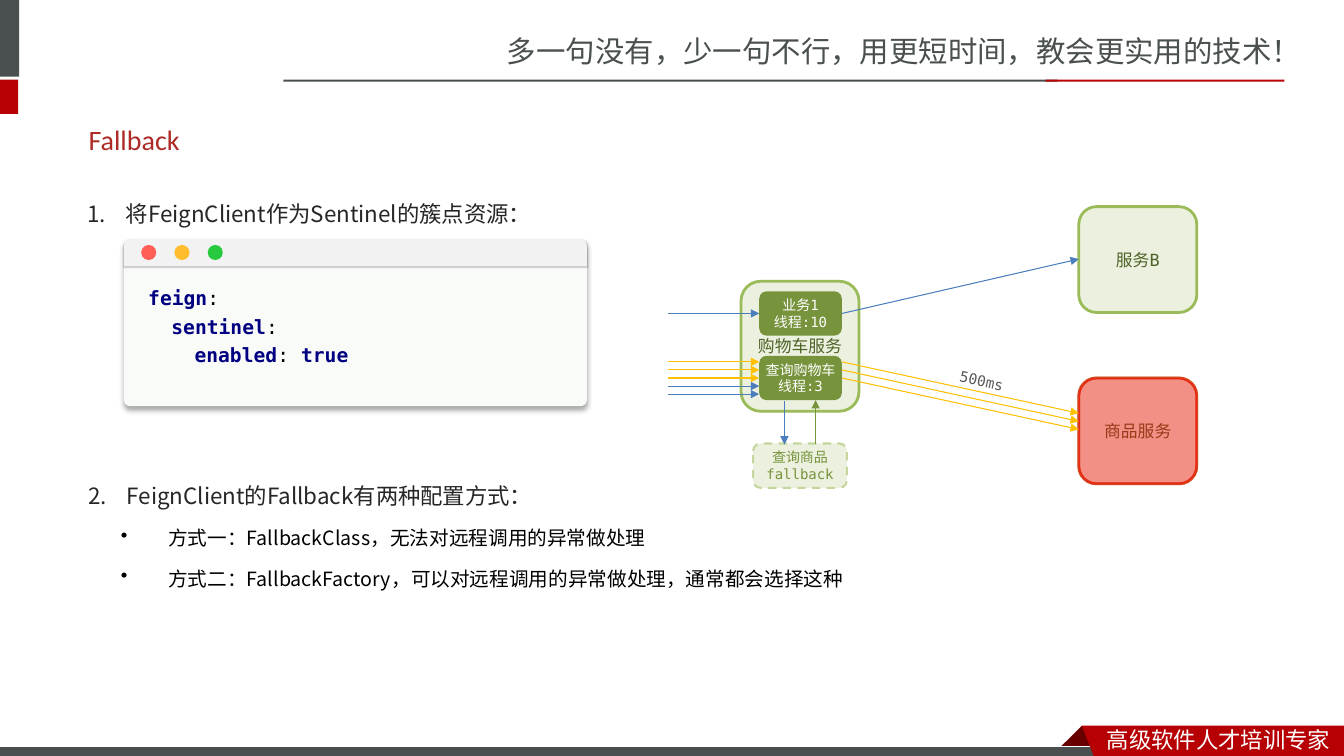
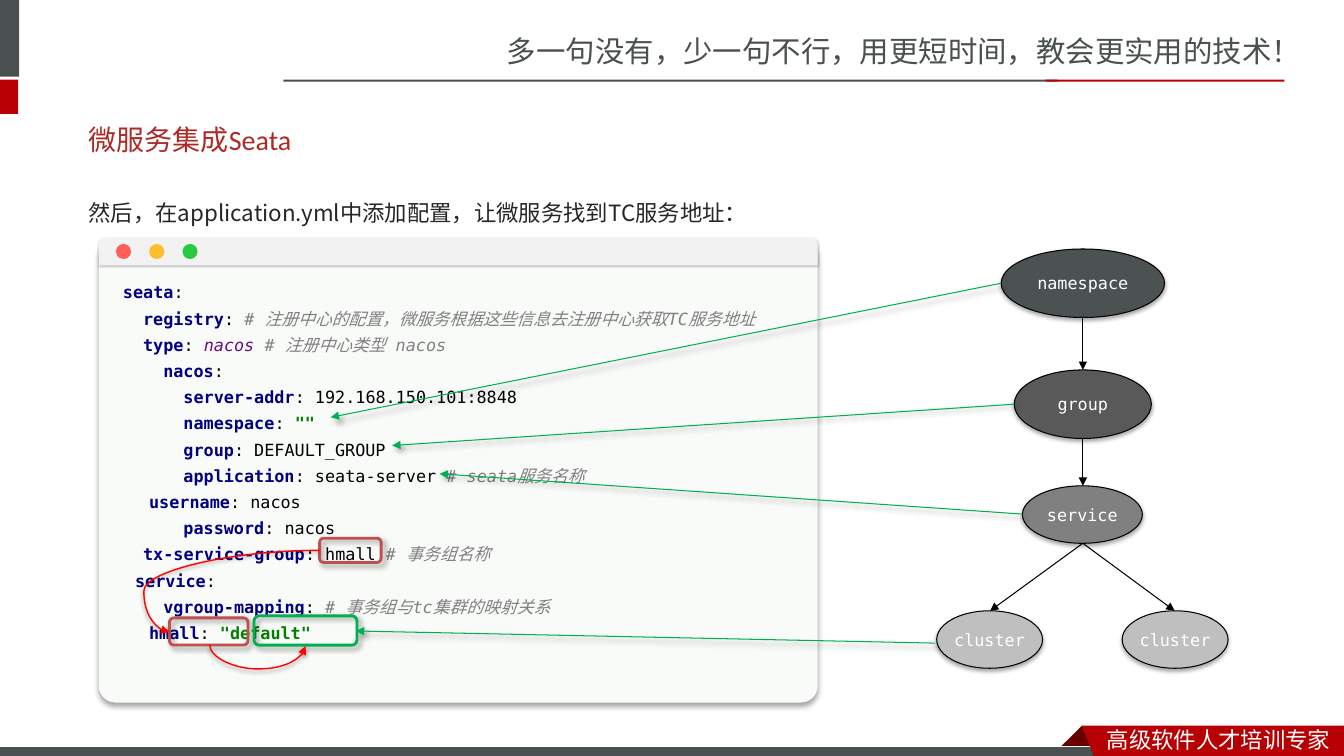
"""Build two training slides about Feign fallbacks and Seata configuration."""
import typing
from dataclasses import dataclass

import lxml.etree
import pptx
import pptx.dml.color
import pptx.enum.dml
import pptx.enum.shapes
import pptx.enum.text
import pptx.oxml.ns
import pptx.util

Inches = pptx.util.Inches
Pt = pptx.util.Pt
RGBColor = pptx.dml.color.RGBColor
Preset = pptx.enum.shapes.MSO_SHAPE
Connector = pptx.enum.shapes.MSO_CONNECTOR
Align = pptx.enum.text.PP_ALIGN
Anchor = pptx.enum.text.MSO_ANCHOR
qn = pptx.oxml.ns.qn

WHITE = RGBColor(0xFF, 0xFF, 0xFF)
BLACK = RGBColor(0x00, 0x00, 0x00)
SLATE = RGBColor(0x49, 0x50, 0x4F)
BRAND_RED = RGBColor(0xB6, 0x00, 0x04)
DARK_RED = RGBColor(0x68, 0x00, 0x00)
TITLE_RED = RGBColor(0xAD, 0x2A, 0x26)
BODY_INK = RGBColor(0x26, 0x26, 0x26)
PALE_GREEN = RGBColor(0xEB, 0xF1, 0xDE)
EDGE_GREEN = RGBColor(0x9B, 0xBB, 0x59)
DASH_GREEN = RGBColor(0xC3, 0xD6, 0x9B)
LEAF_GREEN = RGBColor(0x77, 0x93, 0x3C)
TEXT_GREEN = RGBColor(0x4F, 0x62, 0x28)
LINK_GREEN = RGBColor(0x00, 0xB0, 0x50)
RED = RGBColor(0xFF, 0x00, 0x00)
BRICK = RGBColor(0xC0, 0x50, 0x4D)
BLUE = RGBColor(0x4B, 0x7E, 0xBC)
AMBER = RGBColor(0xFF, 0xC0, 0x00)
CARD = RGBColor(0xF9, 0xFB, 0xF9)
CARD_BAR = RGBColor(0xF2, 0xF2, 0xF2)
GREYS = (RGBColor(0x4C, 0x52, 0x52), RGBColor(0x59, 0x59, 0x59),
         RGBColor(0x80, 0x80, 0x80), RGBColor(0xBF, 0xBF, 0xBF))
WINDOW_DOTS = (RGBColor(0xFF, 0x5F, 0x56), RGBColor(0xFF, 0xBD, 0x2E), RGBColor(0x27, 0xC9, 0x3F))

MONO = "DejaVu Sans Mono"
SANS = "Noto Sans CJK SC"
BODY = "Noto Sans CJK JP"

Box = tuple[float, float, float, float]
Point = tuple[float, float]


class Style(typing.NamedTuple):
    size: float
    color: RGBColor
    font: str = MONO
    bold: bool = False
    italic: bool = False


class Shadow(typing.NamedTuple):
    alpha: int
    blur: float
    distance: float
    angle: int


class Outline(typing.NamedTuple):
    color: RGBColor
    width: float
    dashed: bool = False


class CodeLine(typing.NamedTuple):
    indent: float
    tokens: tuple[tuple[str, str], ...]


@dataclass(frozen=True)
class ListItem:
    text: str
    style: Style
    left: float = 0
    hanging: float = 0
    number: int = 0
    bullet: str = ""
    leading: float = 29.8
    before: float = 0


@dataclass(frozen=True)
class Node:
    box: Box
    lines: tuple[str, ...]
    style: Style
    fill: RGBColor | None
    outline: Outline | None = None
    preset: Preset = Preset.ROUNDED_RECTANGLE
    shadow: Shadow | None = None


BODY_STYLE = Style(16, BODY_INK, BODY)
POINT_STYLE = Style(14, BLACK, BODY)
SERVICE_STYLE = Style(12, TEXT_GREEN)
THREAD_STYLE = Style(10, WHITE)
NODE_STYLE = Style(12, WHITE)
SERVICE_EDGE = Outline(EDGE_GREEN, 2)
CARD_SHADOW = Shadow(34, 4, 3, 90)
BAR_SHADOW = Shadow(20, 1, 1, 90)
NODE_SHADOW = Shadow(35, 3.1, 1.8, 90)
CURVE_SHADOW = Shadow(38, 3.1, 1.6, 90)
MARK_SHADOW = Shadow(40, 4, 3, 45)

CODE_STYLES = {
    "key": Style(12, RGBColor(0x00, 0x00, 0x80), bold=True),
    "plain": Style(12, BLACK),
    "value": Style(12, RGBColor(0x66, 0x0E, 0x7A), italic=True),
    "string": Style(12, RGBColor(0x00, 0x80, 0x00), bold=True),
    "note": Style(12, RGBColor(0x80, 0x80, 0x80), italic=True),
    "remark": Style(12, RGBColor(0x80, 0x80, 0x80), "Courier New", italic=True),
}


def entry(indent: float, key: str, *tokens: tuple[str, str]) -> CodeLine:
    return CodeLine(indent, (("key", key), ("plain", ": " if tokens else ":"), *tokens))


FEIGN_CODE = (
    entry(0, "feign"),
    entry(0.23, "sentinel"),
    entry(0.46, "enabled", ("key", "true")),
)
SEATA_CODE = (
    entry(0, "seata"),
    entry(0.2, "registry", ("note", "# "), ("remark", "注册中心的配置，微服务根据这些信息去注册中心获取"),
          ("note", "TC"), ("remark", "服务地址")),
    entry(0.2, "type", ("value", "nacos "), ("note", "# "), ("remark", "注册中心类型"), ("note", " nacos")),
    entry(0.4, "nacos"),
    entry(0.6, "server-addr", ("plain", "192.168.150.101:8848")),
    entry(0.6, "namespace", ("string", '""')),
    entry(0.6, "group", ("plain", "DEFAULT_GROUP")),
    entry(0.6, "application", ("plain", "seata-server "), ("note", "# seata"), ("remark", "服务名称")),
    entry(0.26, "username", ("plain", "nacos")),
    entry(0.6, "password", ("plain", "nacos")),
    entry(0.2, "tx-service-group", ("plain", "hmall "), ("note", "# "), ("remark", "事务组名称")),
    entry(0.12, "service"),
    entry(0.4, "vgroup-mapping", ("note", "# "), ("remark", "事务组与"), ("note", "tc"),
          ("remark", "集群的映射关系")),
    entry(0.26, "hmall", ("string", '"default"')),
)


def set_effect(shape: typing.Any, shadow: Shadow | None) -> None:
    effects = lxml.etree.SubElement(shape.element.spPr, qn("a:effectLst"))
    if shadow:
        outer = lxml.etree.SubElement(
            effects, qn("a:outerShdw"), blurRad=str(Pt(shadow.blur)), dist=str(Pt(shadow.distance)),
            dir=str(shadow.angle * 60000), algn="ctr", rotWithShape="0")
        color = lxml.etree.SubElement(outer, qn("a:srgbClr"), val=str(BLACK))
        lxml.etree.SubElement(color, qn("a:alpha"), val=str(shadow.alpha * 1000))


def paint(shape: typing.Any, fill: RGBColor | None, outline: Outline | None = None,
          shadow: Shadow | None = None) -> None:
    if fill is None:
        shape.fill.background()
    else:
        shape.fill.solid()
        shape.fill.fore_color.rgb = fill
    if outline is None:
        shape.line.fill.background()
    else:
        shape.line.color.rgb = outline.color
        shape.line.width = Pt(outline.width)
        if outline.dashed:
            shape.line.dash_style = pptx.enum.dml.MSO_LINE.DASH
    set_effect(shape, shadow)


def add_block(page: typing.Any, box: Box, fill: RGBColor | None, outline: Outline | None = None,
              preset: Preset = Preset.RECTANGLE, shadow: Shadow | None = None) -> typing.Any:
    shape = page.shapes.add_shape(preset, *map(Inches, box))
    paint(shape, fill, outline, shadow)
    return shape


def add_outline(page: typing.Any, points: tuple[Point, ...], fill: RGBColor) -> None:
    corners = [(Inches(x), Inches(y)) for x, y in points]
    builder = page.shapes.build_freeform(*corners[0])
    builder.add_line_segments(corners[1:], close=True)
    paint(builder.convert_to_shape(), fill)


def format_span(span: typing.Any, style: Style) -> None:
    span.font.size = Pt(style.size)
    span.font.bold = style.bold
    span.font.italic = style.italic
    span.font.color.rgb = style.color
    span.font.name = style.font
    lxml.etree.SubElement(span.font._element, qn("a:ea"), typeface=style.font)


def format_text(frame: typing.Any, style: Style, align: Align = Align.LEFT) -> None:
    for para in frame.paragraphs:
        para.alignment = align
        for span in para.runs:
            format_span(span, style)


def add_text(page: typing.Any, box: Box, text: str, style: Style, wrap: bool = True) -> typing.Any:
    shape = page.shapes.add_textbox(*map(Inches, box))
    shape.text_frame.word_wrap = wrap
    shape.text_frame.text = text
    format_text(shape.text_frame, style)
    return shape


def add_list(page: typing.Any, box: Box, items: tuple[ListItem, ...]) -> None:
    frame = add_text(page, box, "\n".join(item.text for item in items), BODY_STYLE).text_frame
    for para, item in zip(frame.paragraphs, items):
        para.line_spacing = Pt(item.leading)
        para.space_before = Pt(item.before)
        para.runs[0].font.size = Pt(item.style.size)
        para.runs[0].font.color.rgb = item.style.color
        props = para._p.get_or_add_pPr()
        props.set("marL", str(Inches(item.left)))
        props.set("indent", str(Inches(-item.hanging)))
        if item.number:
            lxml.etree.SubElement(props, qn("a:buAutoNum"), type="arabicPeriod", startAt=str(item.number))
        elif item.bullet:
            lxml.etree.SubElement(props, qn("a:buChar"), char=item.bullet)


def add_node(page: typing.Any, node: Node) -> None:
    shape = add_block(page, node.box, node.fill, node.outline, node.preset, node.shadow)
    frame = shape.text_frame
    frame.margin_left = frame.margin_right = 0
    frame.word_wrap = True
    frame.vertical_anchor = Anchor.MIDDLE
    frame.text = "\n".join(node.lines)
    format_text(frame, node.style, Align.CENTER)


def add_arrow(page: typing.Any, start: Point, end: Point, color: RGBColor, width: float = 0.75,
              shadow: Shadow | None = None, bend: float | None = None, turn: int = 0) -> None:
    kind = Connector.STRAIGHT if bend is None else Connector.CURVE
    arrow = page.shapes.add_connector(kind, *map(Inches, (*start, *end)))
    arrow.line.color.rgb = color
    arrow.line.width = Pt(width)
    props = arrow.element.spPr
    lxml.etree.SubElement(props.find(qn("a:ln")), qn("a:tailEnd"), type="triangle")
    if bend is not None:
        guides = props.find(qn("a:prstGeom")).find(qn("a:avLst"))
        lxml.etree.SubElement(guides, qn("a:gd"), name="adj1", fmla=f"val {round(bend * 100000)}")
        props.find(qn("a:xfrm")).set("rot", str(turn * 60000))
    set_effect(arrow, shadow)


def add_code(page: typing.Any, box: Box, lines: tuple[CodeLine, ...], top: float,
             size: float, leading: float) -> None:
    left, card_top, width, height = box
    card = add_block(page, box, CARD, preset=Preset.ROUNDED_RECTANGLE, shadow=CARD_SHADOW)
    card.adjustments[0] = 0.036
    shape = page.shapes.add_textbox(*map(Inches, (left, top, width, height + card_top - top)))
    frame = shape.text_frame
    frame.word_wrap = True
    frame.margin_left = frame.margin_right = Inches(0.24)
    for index, line in enumerate(lines):
        para = frame.paragraphs[0] if index == 0 else frame.add_paragraph()
        para.line_spacing = Pt(leading)
        para._p.get_or_add_pPr().set("marL", str(Inches(line.indent)))
        for kind, text in line.tokens:
            span = para.add_run()
            span.text = text
            format_span(span, CODE_STYLES[kind]._replace(size=size))
    bar = add_block(page, (left, card_top, width, 0.27), CARD_BAR,
                    preset=Preset.ROUND_2_SAME_RECTANGLE, shadow=BAR_SHADOW)
    bar.adjustments[0] = 0.25
    for index, color in enumerate(WINDOW_DOTS):
        add_block(page, (left + 0.17 + 0.33 * index, card_top + 0.06, 0.15, 0.15), color, preset=Preset.OVAL)


def add_page(deck: typing.Any, title: str) -> typing.Any:
    page = deck.slides.add_slide(deck.slide_layouts[6])
    add_text(page, (4.93, 0.28, 8.41, 0.47), "多一句没有，少一句不行，用更短时间，教会更实用的技术！", Style(21, SLATE, SANS))
    add_block(page, (-0.06, 0, 0.25, 0.76), SLATE)
    add_block(page, (-0.06, 0.79, 0.24, 0.34), BRAND_RED)
    add_block(page, (2.81, 0.79, 7.68, 0.02), SLATE)
    add_block(page, (10.37, 0.79, 2.37, 0.02), BRAND_RED)
    add_outline(page, ((10.73, 7.2), (10.95, 7.42), (10.94, 7.43), (10.52, 7.43), (10.51, 7.42)), DARK_RED)
    add_block(page, (-0.01, 7.41, 11, 0.12), SLATE, Outline(WHITE, 0.75))
    add_outline(page, ((10.73, 7.2), (13.33, 7.2), (13.33, 7.54), (10.86, 7.53)), BRAND_RED)
    add_text(page, (10.88, 7.15, 2.45, 0.37), "高级软件人才培训专家", Style(16, WHITE, SANS))
    heading = add_text(page, (0.78, 1.16, 11.7, 0.44), title, Style(20, TITLE_RED, "Calibri"))
    heading.text_frame.vertical_anchor = Anchor.MIDDLE
    return page


def build_fallback(deck: typing.Any) -> None:
    page = add_page(deck, "Fallback")
    add_list(page, (0.77, 1.79, 7.27, 0.68), (
        ListItem("将FeignClient作为Sentinel的簇点资源：", BODY_STYLE, 0.38, 0.38, number=1),))
    add_list(page, (0.78, 4.59, 11.53, 0.91), (
        ListItem("FeignClient的Fallback有两种配置方式：", BODY_STYLE, 0.38, 0.38, number=2),
        *(ListItem(text, POINT_STYLE, 0.79, 0.47, bullet="•", leading=26, before=2.8) for text in (
            "方式一：FallbackClass，无法对远程调用的异常做处理",
            "方式二：FallbackFactory，可以对远程调用的异常做处理，通常都会选择这种"))))
    product_box = (10.7, 3.75, 1.17, 1.05)
    for box, name in (((7.35, 2.79, 1.17, 1.29), "购物车服务"), ((10.7, 2.05, 1.17, 1.05), "服务B"),
                      (product_box, "商品服务")):
        add_node(page, Node(box, (name,), SERVICE_STYLE, PALE_GREEN, SERVICE_EDGE))
    failure = add_block(page, product_box, RED, Outline(RED, 2), Preset.ROUNDED_RECTANGLE)
    for color, alpha in zip(failure.element.spPr.iter(qn("a:srgbClr")), (40, 64)):
        lxml.etree.SubElement(color, qn("a:alpha"), val=str(alpha * 1000))
    for top, lines in ((2.89, ("业务1", "线程:10")), (3.53, ("查询购物车", "线程:3"))):
        add_node(page, Node((7.53, top, 0.82, 0.44), lines, THREAD_STYLE, LEAF_GREEN))
    add_node(page, Node((7.47, 4.4, 0.93, 0.44), ("查询商品", "fallback"), Style(10, LEAF_GREEN),
                        PALE_GREEN, Outline(DASH_GREEN, 1.5, True)))
    add_arrow(page, (6.63, 3.11), (7.53, 3.11), BLUE)
    add_arrow(page, (8.35, 3.11), (10.7, 2.57), BLUE)
    add_arrow(page, (7.78, 3.98), (7.78, 4.41), BLUE)
    add_arrow(page, (8.09, 4.4), (8.09, 3.97), LEAF_GREEN)
    for lane, color in enumerate((AMBER, AMBER, AMBER, BLUE, BLUE)):
        y = 3.59 + 0.08 * lane
        add_arrow(page, (6.63, y), (7.53, y), color)
        if color == AMBER:
            add_arrow(page, (8.35, y), (10.7, y + 0.51), color)
    delay = add_text(page, (9.42, 3.64, 0.64, 0.28), "500ms", Style(10.5, GREYS[1]), wrap=False)
    delay.rotation = 12.1
    add_code(page, (1.23, 2.37, 4.59, 1.66), FEIGN_CODE, 2.74, 14, 20.4)


def build_seata(deck: typing.Any) -> None:
    page = add_page(deck, "微服务集成Seata")
    add_list(page, (0.78, 1.78, 11.7, 0.6), (
        ListItem("然后，在application.yml中添加配置，让微服务找到TC服务地址：", BODY_STYLE),))
    add_code(page, (0.98, 2.36, 7.13, 4.61), SEATA_CODE, 2.69, 12, 18.7)
    namespace, group, service, cluster = GREYS
    for name, color, box in (("namespace", namespace, (9.93, 2.47, 1.62, 0.68)),
                             ("group", group, (10.06, 3.67, 1.36, 0.68)),
                             ("service", service, (10.14, 4.82, 1.19, 0.57)),
                             ("cluster", cluster, (9.29, 6.06, 1.05, 0.57)),
                             ("cluster", cluster, (11.13, 6.06, 1.05, 0.57))):
        add_node(page, Node(box, (name,), NODE_STYLE, color, Outline(BLACK, 0.75), Preset.OVAL, NODE_SHADOW))
    for top, end in ((3.14, (10.74, 3.67)), (4.35, (10.74, 4.82)), (5.39, (9.82, 6.06)), (5.39, (11.65, 6.06))):
        add_arrow(page, (10.74, top), end, BLACK)
    for box, color in (((3.17, 5.34, 0.61, 0.24), BRICK), ((1.68, 6.13, 0.78, 0.27), BRICK),
                       ((2.52, 6.11, 1.02, 0.29), LINK_GREEN)):
        add_block(page, box, None, Outline(color, 2), Preset.ROUNDED_RECTANGLE, MARK_SHADOW)
    add_arrow(page, (3.17, 5.46), (1.68, 6.27), RED, 1, CURVE_SHADOW, bend=1.17)
    add_arrow(page, (2.56, 5.93), (2.55, 6.88), RED, 1, CURVE_SHADOW, bend=24, turn=270)
    for start, end in (((10.06, 4.01), (3.89, 4.42)), ((10.14, 5.1), (4.36, 4.7)),
                       ((9.93, 2.81), (3.28, 4.14)), ((9.27, 6.38), (3.53, 6.26))):
        add_arrow(page, start, end, LINK_GREEN, shadow=MARK_SHADOW)


def main() -> None:
    deck = pptx.Presentation()
    deck.slide_width = Inches(13.33)
    deck.slide_height = Inches(7.5)
    build_fallback(deck)
    build_seata(deck)
    deck.save("out.pptx")


if __name__ == "__main__":
    main()
